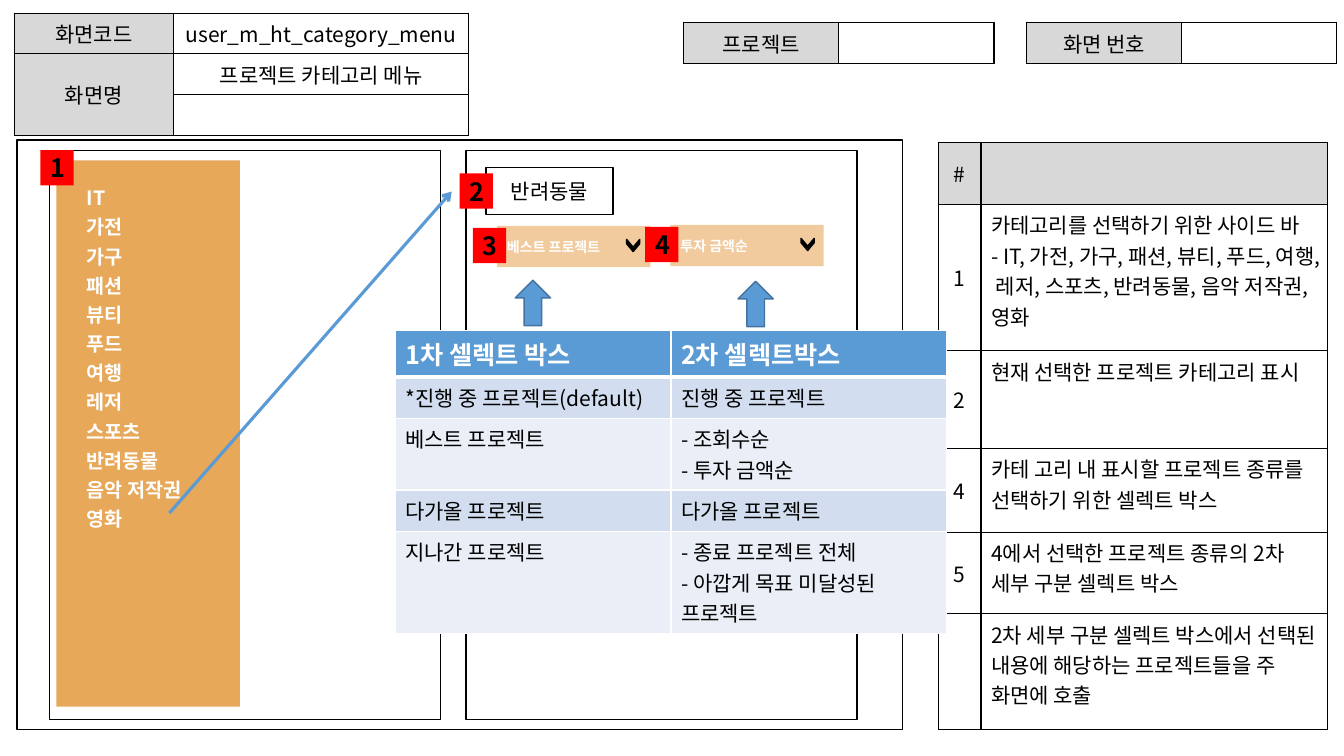
from dataclasses import dataclass

from lxml import etree
from pptx import Presentation
from pptx.dml.color import RGBColor
from pptx.enum.shapes import MSO_CONNECTOR, MSO_SHAPE
from pptx.enum.text import MSO_ANCHOR, MSO_AUTO_SIZE, PP_ALIGN
from pptx.oxml.ns import qn
from pptx.util import Inches, Pt

RECTANGLE, CHEVRON, DOWN_ARROW = MSO_SHAPE.RECTANGLE, MSO_SHAPE.CHEVRON, MSO_SHAPE.DOWN_ARROW
STRAIGHT = MSO_CONNECTOR.STRAIGHT
TOP, MIDDLE = MSO_ANCHOR.TOP, MSO_ANCHOR.MIDDLE
LEFT, CENTER = PP_ALIGN.LEFT, PP_ALIGN.CENTER
NO_AUTOFIT = MSO_AUTO_SIZE.NONE

FONT = "Noto Sans CJK KR"
GRID_STEP = 0.1
BLACK, WHITE, GRAY, RED = "000000", "FFFFFF", "D8D8D8", "FF0000"
ORANGE, BLUE, DARK_BLUE = "DC7F0D", "5B9BD5", "43739E"
BAND_DARK, BAND_LIGHT = "D2DEEF", "EAEFF7"


@dataclass(frozen=True)
class Area:
    column: float
    row: float
    columns: float
    rows: float

    def emu(self) -> list[int]:
        return [grid(n) for n in (self.column, self.row, self.columns, self.rows)]


@dataclass(frozen=True)
class TextStyle:
    size: float = 15
    color: str = BLACK
    bold: bool = False
    align: PP_ALIGN = CENTER
    anchor: MSO_ANCHOR = MIDDLE


@dataclass(frozen=True)
class Cell:
    text: str = ""
    fill: str = WHITE
    style: TextStyle = TextStyle()


@dataclass(frozen=True)
class Grid:
    column: float
    row: float
    widths: list[float]
    heights: list[float]
    cells: list[list[Cell]]
    border: str = BLACK
    header_rule: float = 1


@dataclass(frozen=True)
class SelectBox:
    area: Area
    label: str
    chevron: Area
    pointer: Area


NOTE = TextStyle(align=LEFT, anchor=TOP)
HEADING = TextStyle(18, WHITE, True, LEFT, TOP)
BADGE = TextStyle(18, BLACK, True)
OPTION = TextStyle(10, WHITE, True, LEFT)
MENU = TextStyle(14, WHITE, True, LEFT, TOP)

CATEGORIES = ["IT", "가전", "가구", "패션", "뷰티", "푸드", "여행", "레저",
              "스포츠", "반려동물", "음악 저작권", "영화"]
NOTES = [
    ("1", "카테고리를 선택하기 위한 사이드 바\n"
          "- IT, 가전, 가구, 패션, 뷰티, 푸드, 여행, 레저, 스포츠, 반려동물, 음악 저작권, 영화"),
    ("2", "현재 선택한 프로젝트 카테고리 표시"),
    ("4", "카테 고리 내 표시할 프로젝트 종류를 선택하기 위한 셀렉트 박스"),
    ("5", "4에서 선택한 프로젝트 종류의 2차 세부 구분 셀렉트 박스"),
    ("", "2차 세부 구분 셀렉트 박스에서 선택된 내용에 해당하는 프로젝트들을 주 화면에 호출"),
]
OPTIONS = [
    ("*진행 중 프로젝트(default)", "진행 중 프로젝트"),
    ("베스트 프로젝트", "- 조회수순\n- 투자 금액순"),
    ("다가올 프로젝트", "다가올 프로젝트"),
    ("지나간 프로젝트", "- 종료 프로젝트 전체\n- 아깝게 목표 미달성된 프로젝트"),
]

SCREEN_INFO = Grid(1.4, 1.3, [15.8, 29.3], [4.05] * 3, [
    [Cell("화면코드", GRAY), Cell("user_m_ht_category_menu")],
    [Cell("화면명", GRAY), Cell("프로젝트 카테고리 메뉴")],
    [Cell(fill=GRAY), Cell()],
])
FIELDS = [Grid(column, 2.2, [15.4] * 2, [4.1], [[Cell(label, GRAY), Cell()]])
          for column, label in ((101.8, "화면 번호"), (67.8, "프로젝트"))]
DESCRIPTION = Grid(93.1, 14.1, [4.2, 34.4], [6.2, 14.5, 9.7, 8.3, 8.1, 11.5],
                   [[Cell("#", GRAY), Cell(fill=GRAY)]]
                   + [[Cell(number), Cell(note, style=NOTE)] for number, note in NOTES])
OPTION_TABLE = Grid(39.2, 32.8, [27.35] * 2, [4.6, 4.1, 7.1, 4.1, 10.1],
                    [[Cell(title, BLUE, HEADING) for title in ("1차 셀렉트 박스", "2차 셀렉트박스")]]
                    + [[Cell(option, (BAND_DARK, BAND_LIGHT)[i % 2], NOTE) for option in pair]
                       for i, pair in enumerate(OPTIONS)], WHITE, 3)
SELECT_BOXES = [
    SelectBox(Area(49.3, 22.4, 15.2, 4.1), "베스트 프로젝트",
              Area(62.2, 23.7, 1.2, 1.3), Area(51.1, 27.8, 3.5, 4.5)),
    SelectBox(Area(66.5, 22.3, 15.2, 4.1), "투자 금액순",
              Area(79.5, 23.6, 1.2, 1.3), Area(73.2, 27.9, 3.5, 4.5)),
]
BADGES = [(4, 14.9), (45.6, 17.2), (46.9, 22.6), (64, 22.5)]


def grid(steps: float) -> int:
    return Inches(steps * GRID_STEP)


def rgb(color: str) -> RGBColor:
    return RGBColor.from_string(color)


def write(frame, text: str, style: TextStyle) -> None:
    frame.text = text
    frame.word_wrap = True
    for paragraph in frame.paragraphs:
        paragraph.alignment = style.align
        for run in paragraph.runs:
            font = run.font
            font.size, font.bold, font.name = Pt(style.size), style.bold, FONT
            font.color.rgb = rgb(style.color)
            etree.SubElement(run._r.get_or_add_rPr(), qn("a:ea"), typeface=FONT)
        if not paragraph.runs:
            etree.SubElement(paragraph._p, qn("a:endParaRPr"), sz=str(int(style.size * 100)))


def paint(shape, fill: str | None, line: str | None, opacity: int = 100) -> None:
    if fill:
        shape.fill.solid()
        shape.fill.fore_color.rgb = rgb(fill)
        if opacity < 100:
            tint = shape.fill._xPr.find(qn("a:solidFill"))[0]
            etree.SubElement(tint, qn("a:alpha"), val=str(opacity * 1000))
    else:
        shape.fill.background()
    if line:
        shape.line.color.rgb, shape.line.width = rgb(line), Pt(1)
    else:
        shape.line.fill.background()


def draw(slide, area: Area, fill: str | None, line: str | None = None,
         kind: MSO_SHAPE = RECTANGLE, opacity: int = 100, rotation: float = 0):
    shape = slide.shapes.add_shape(kind, *area.emu())
    shape.shadow.inherit = False
    shape.rotation = rotation
    paint(shape, fill, line, opacity)
    return shape


def label(shape, text: str, style: TextStyle) -> None:
    write(shape.text_frame, text, style)
    shape.text_frame.vertical_anchor = style.anchor


def place(slide, placeholder, area: Area) -> None:
    placeholder.left, placeholder.top, placeholder.width, placeholder.height = area.emu()
    placeholder.text_frame.auto_size = NO_AUTOFIT
    slide.shapes._spTree.append(placeholder._element)


def draw_table(slide, plan: Grid):
    area = Area(plan.column, plan.row, sum(plan.widths), sum(plan.heights))
    table = slide.shapes.add_table(len(plan.heights), len(plan.widths), *area.emu()).table
    table.horz_banding = False
    for column, width in zip(table.columns, plan.widths):
        column.width = grid(width)
    for r, (row, height) in enumerate(zip(table.rows, plan.heights)):
        row.height = grid(height)
        for cell, content in zip(row.cells, plan.cells[r]):
            write(cell.text_frame, content.text, content.style)
            cell.vertical_anchor = content.style.anchor
            for side in "LRTB":
                ruled = (r, side) in ((0, "B"), (1, "T"))
                width = Pt(plan.header_rule if ruled else 1)
                edge = etree.SubElement(cell._tc.get_or_add_tcPr(), qn(f"a:ln{side}"), w=str(width))
                solid = etree.SubElement(edge, qn("a:solidFill"))
                etree.SubElement(solid, qn("a:srgbClr"), val=plan.border)
            cell.fill.solid()
            cell.fill.fore_color.rgb = rgb(content.fill)
    return table


def draw_sidebar(slide, sidebar) -> None:
    place(slide, sidebar, Area(5.6, 15.9, 18.2, 54.2))
    paint(sidebar, ORANGE, None, 68)
    label(sidebar, "\n".join(CATEGORIES), MENU)
    sidebar.text_frame.margin_top = grid(2)
    for paragraph in sidebar.text_frame.paragraphs:
        properties = paragraph._p.get_or_add_pPr()
        properties.set("marL", str(grid(2)))
        properties.set("indent", "0")
        etree.SubElement(properties, qn("a:buNone"))
        paragraph.space_before = Pt(0)
        paragraph.line_spacing = 1.24


def draw_link(slide) -> None:
    link = slide.shapes.add_connector(STRAIGHT, *map(grid, (16.8, 50.9, 44.8, 19)))
    link.line.color.rgb, link.line.width = rgb(BLUE), Pt(2.25)
    etree.SubElement(link.line._get_or_add_ln(), qn("a:tailEnd"), type="arrow")
    etree.SubElement(link._element.spPr, qn("a:effectLst"))


def main() -> None:
    deck = Presentation()
    deck.slide_width, deck.slide_height = grid(133.3), grid(75)
    slide = deck.slides.add_slide(deck.slide_layouts[1])
    category_title, sidebar = slide.placeholders

    screen_info = draw_table(slide, SCREEN_INFO)
    screen_info.cell(1, 0).merge(screen_info.cell(2, 0))
    for plan in (*FIELDS, DESCRIPTION):
        draw_table(slide, plan)

    draw(slide, Area(1.7, 13.9, 87.8, 58.5), None, BLACK)
    for column in (4.9, 46.2):
        draw(slide, Area(column, 14.9, 38.8, 56.5), WHITE, BLACK)

    draw_sidebar(slide, sidebar)
    place(slide, category_title, Area(48.2, 16.6, 12.6, 4.7))
    paint(category_title, WHITE, BLACK)
    label(category_title, "반려동물", TextStyle())

    for box in SELECT_BOXES:
        label(draw(slide, box.area, ORANGE, opacity=40), box.label, OPTION)
        chevron = draw(slide, box.chevron, BLACK, BLACK, CHEVRON, rotation=90)
        chevron.adjustments[0] = 0.64
    for number, (column, row) in enumerate(BADGES, 1):
        label(draw(slide, Area(column, row, 3.3, 3.5), RED), str(number), BADGE)

    draw_table(slide, OPTION_TABLE)
    for box in SELECT_BOXES:
        draw(slide, box.pointer, BLUE, DARK_BLUE, DOWN_ARROW, rotation=180)
    draw_link(slide)
    deck.save("out.pptx")


if __name__ == "__main__":
    main()
